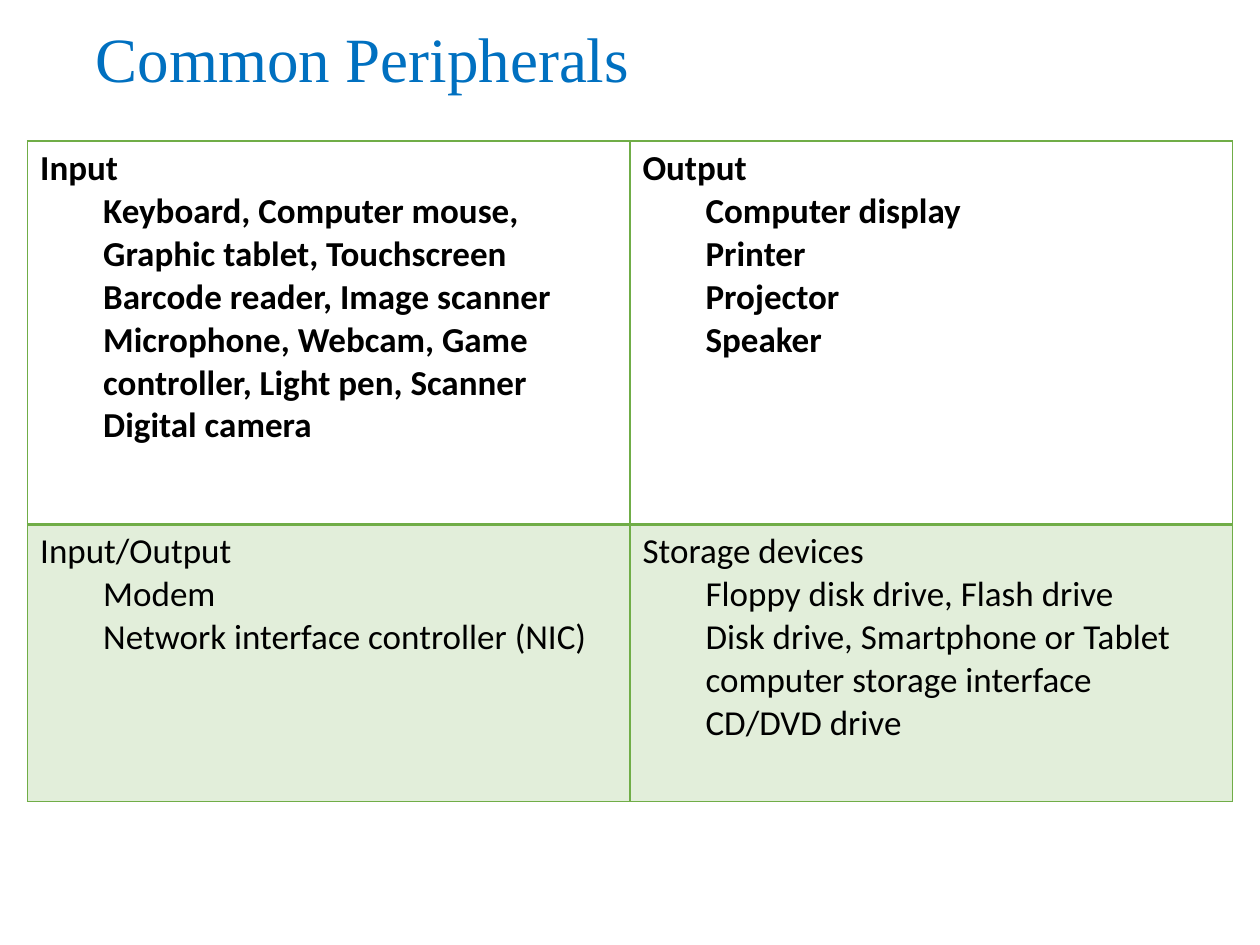
import pptx
import pptx.util
import pptx.dml.color
import pptx.enum.text
import pptx.oxml
import pptx.oxml.ns

Pt = pptx.util.Pt
GREEN, BLUE, BLACK = "70AD47", "0070C0", "000000"


def color(code):
    return pptx.dml.color.RGBColor.from_string(code)


class Deck:
    """Style and current slide."""
    font, size, indent = "Calibri", 20, 36

    def __init__(self):
        self.prs = pptx.Presentation()
        self.prs.slide_width, self.prs.slide_height = Pt(720), Pt(540)
        self.slide = self.prs.slides.add_slide(self.prs.slide_layouts[5])

    def style(self, para, font, size, code, bold=False):
        para.font.name, para.font.size = font, Pt(size)
        para.font.bold = bold
        para.font.color.rgb = color(code)
        para.alignment = pptx.enum.text.PP_ALIGN.LEFT

    def title(self, text, left, top, width, height):
        box = self.slide.shapes.title
        box.left, box.top = Pt(left), Pt(top)
        box.width, box.height = Pt(width), Pt(height)
        frame = box.text_frame
        frame.text = text
        frame.auto_size = pptx.enum.text.MSO_AUTO_SIZE.NONE
        frame.vertical_anchor = pptx.enum.text.MSO_ANCHOR.MIDDLE
        frame.margin_left = frame.margin_right = Pt(5)
        # A deep bottom margin lifts the line
        frame.margin_top, frame.margin_bottom = Pt(3), Pt(40)
        para = frame.paragraphs[0]
        para.line_spacing = 0.9
        self.style(para, "Times New Roman", 36, BLUE)

    def border(self, cell, side, width):
        props = cell._tc.get_or_add_tcPr()
        props.append(pptx.oxml.parse_xml(
            f'<a:ln{side} {pptx.oxml.ns.nsdecls("a")} w="{Pt(width)}">'
            f'<a:solidFill><a:srgbClr val="{GREEN}"/></a:solidFill>'
            f'</a:ln{side}>'))

    def tint(self, cell, code, share):
        cell.fill.solid()
        cell.fill.fore_color.rgb = color(code)
        tone = cell._tc.tcPr.find(".//" + pptx.oxml.ns.qn("a:solidFill")
                                  + "[last()]")
        tone = cell._tc.tcPr.findall(pptx.oxml.ns.qn("a:solidFill"))[-1][0]
        tone.append(pptx.oxml.parse_xml(
            f'<a:alpha {pptx.oxml.ns.nsdecls("a")} val="{share * 1000}"/>'))

    def cell(self, cell, lines, bold):
        cell.text = "\n".join(lines)
        for num, para in enumerate(cell.text_frame.paragraphs):
            self.style(para, self.font, self.size, BLACK, bold)
            if num:
                para.level = 1
                props = para._p.get_or_add_pPr()
                props.set("marL", str(Pt(self.indent)))
                props.set("indent", "0")

    def table(self, rows, left, top, width, heights):
        cols = len(rows[0])
        grid = self.slide.shapes.add_table(
            len(rows), cols, Pt(left), Pt(top), Pt(width),
            Pt(sum(heights))).table
        grid.first_row = grid.horz_banding = False
        for r, row in enumerate(rows):
            grid.rows[r].height = Pt(heights[r])
            head = r == 0
            for c, lines in enumerate(row):
                cell = grid.cell(r, c)
                self.cell(cell, lines, head)
                # The line under the first row is thicker
                widths = {"L": 1, "R": 1, "T": 1 if head else 2,
                          "B": 2 if head else 1}
                for side, wide in widths.items():
                    self.border(cell, side, wide)
                if head:
                    cell.fill.background()
                else:
                    self.tint(cell, GREEN, 20)


def main():
    deck = Deck()

    # Heading
    deck.title("Common Peripherals", 49.7, 28.8, 620.6, 50.4)

    # Kinds of devices, each with its examples
    rows = [
        [["Input",
          "Keyboard, Computer mouse, Graphic tablet, Touchscreen",
          "Barcode reader, Image scanner",
          "Microphone, Webcam, Game controller, Light pen, Scanner",
          "Digital camera"],
         ["Output", "Computer display", "Printer", "Projector", "Speaker"]],
        [["Input/Output", "Modem", "Network interface controller (NIC)"],
         ["Storage devices",
          "Floppy disk drive, Flash drive",
          "Disk drive, Smartphone or Tablet computer storage interface",
          "CD/DVD drive"]],
    ]
    deck.table(rows, 15.8, 80.6, 688.4, [218.9, 158.4])

    deck.prs.save("out.pptx")


if __name__ == "__main__":
    main()
